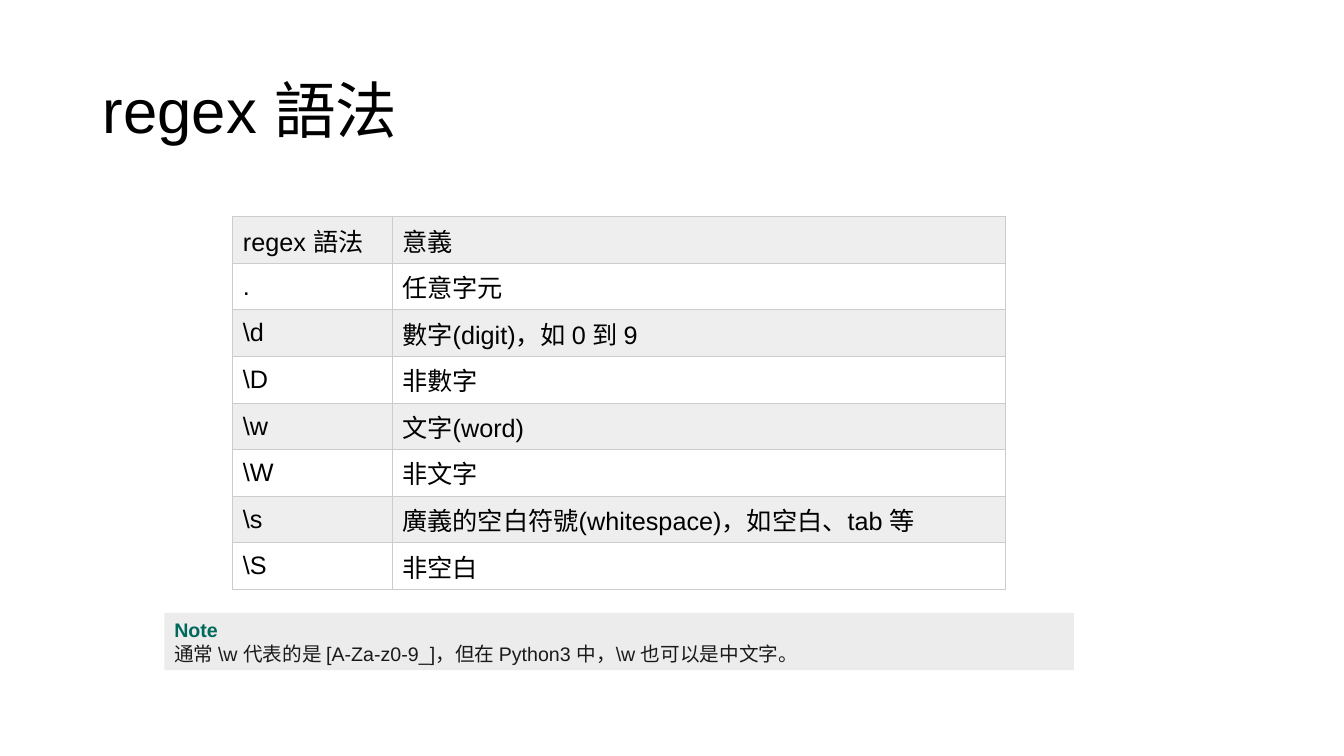
import pptx
import pptx.util
import pptx.dml.color
import pptx.enum.shapes
import pptx.enum.text
import pptx.oxml
import pptx.oxml.ns

Inches = pptx.util.Inches
Pt = pptx.util.Pt
RGBColor = pptx.dml.color.RGBColor
MIDDLE = pptx.enum.text.MSO_ANCHOR.MIDDLE
LEFT = pptx.enum.text.PP_ALIGN.LEFT

BLACK = RGBColor(0x00, 0x00, 0x00)
WHITE = RGBColor(0xFF, 0xFF, 0xFF)
BAND = RGBColor(0xEE, 0xEE, 0xEE)
RULE = RGBColor(0xCC, 0xCC, 0xCC)
PANEL = RGBColor(0xEC, 0xEC, 0xEC)
GREEN = RGBColor(0x00, 0x69, 0x5C)
INK = RGBColor(0x1A, 0x1A, 0x1A)

ROWS = [
    ("regex 語法", "意義"),
    (".", "任意字元"),
    (r"\d", "數字(digit)，如 0 到 9"),
    (r"\D", "非數字"),
    (r"\w", "文字(word)"),
    (r"\W", "非文字"),
    (r"\s", "廣義的空白符號(whitespace)，如空白、tab 等"),
    (r"\S", "非空白"),
]
NOTE = r"通常 \w 代表的是 [A-Za-z0-9_]，但在 Python3 中，\w 也可以是中文字。"


class Deck:
    """Holds the style and the current slide."""

    face = "Arial"

    def __init__(self, show):
        self.slide = show.slides.add_slide(show.slide_layouts[5])

    def style(self, para, size, color, bold=False):
        para.alignment = LEFT
        font = para.font
        font.name, font.size, font.bold = self.face, Pt(size), bold
        font.color.rgb = color

    def title(self, text, left, top, width, height):
        shape = self.slide.shapes.title
        shape.left, shape.top = Inches(left), Inches(top)
        shape.width, shape.height = Inches(width), Inches(height)
        frame = shape.text_frame
        frame.text = text
        frame.vertical_anchor = MIDDLE
        para = frame.paragraphs[0]
        para.line_spacing = 0.9
        self.style(para, 44, BLACK)

    def border(self, cell):
        props = cell._tc.get_or_add_tcPr()
        for side in ("lnL", "lnR", "lnT", "lnB"):
            props.append(pptx.oxml.parse_xml(
                f'<a:{side} {pptx.oxml.ns.nsdecls("a")} w="{Pt(0.75)}">'
                f'<a:solidFill><a:srgbClr val="{RULE}"/></a:solidFill>'
                f'</a:{side}>'))

    def table(self, rows, left, top, widths, height):
        table = self.slide.shapes.add_table(
            len(rows), len(widths), Inches(left), Inches(top),
            Inches(sum(widths)), Inches(height)).table
        for col, width in zip(table.columns, widths):
            col.width = Inches(width)
        for i, row in enumerate(rows):
            for j, text in enumerate(row):
                cell = table.cell(i, j)
                cell.text = text
                cell.vertical_anchor = MIDDLE
                self.style(cell.text_frame.paragraphs[0], 18, BLACK)
                self.border(cell)
                cell.fill.solid()
                cell.fill.fore_color.rgb = WHITE if i % 2 else BAND

    def note(self, head, body, left, top, width, height):
        shape = self.slide.shapes.add_shape(
            pptx.enum.shapes.MSO_SHAPE.RECTANGLE,
            Inches(left), Inches(top), Inches(width), Inches(height))
        shape.shadow.inherit = False
        shape.fill.solid()
        shape.fill.fore_color.rgb = PANEL
        shape.line.fill.background()
        frame = shape.text_frame
        frame.word_wrap = True
        frame.auto_size = pptx.enum.text.MSO_AUTO_SIZE.SHAPE_TO_FIT_TEXT
        frame.vertical_anchor = MIDDLE
        frame.text = f"{head}\n{body}"
        first, second = frame.paragraphs
        self.style(first, 14, GREEN, True)
        self.style(second, 14, INK)


def main():
    show = pptx.Presentation()
    show.slide_width, show.slide_height = Inches(13.33), Inches(7.5)
    deck = Deck(show)

    # Heading
    deck.title("regex 語法", 0.92, 0.4, 11.5, 1.45)

    # Syntax table
    deck.table(ROWS, 2.31, 2.15, (1.58, 6.08), 3.7)

    # Note below the table
    deck.note("Note", NOTE, 1.63, 6.08, 9.02, 0.57)

    show.save("out.pptx")


if __name__ == "__main__":
    main()
